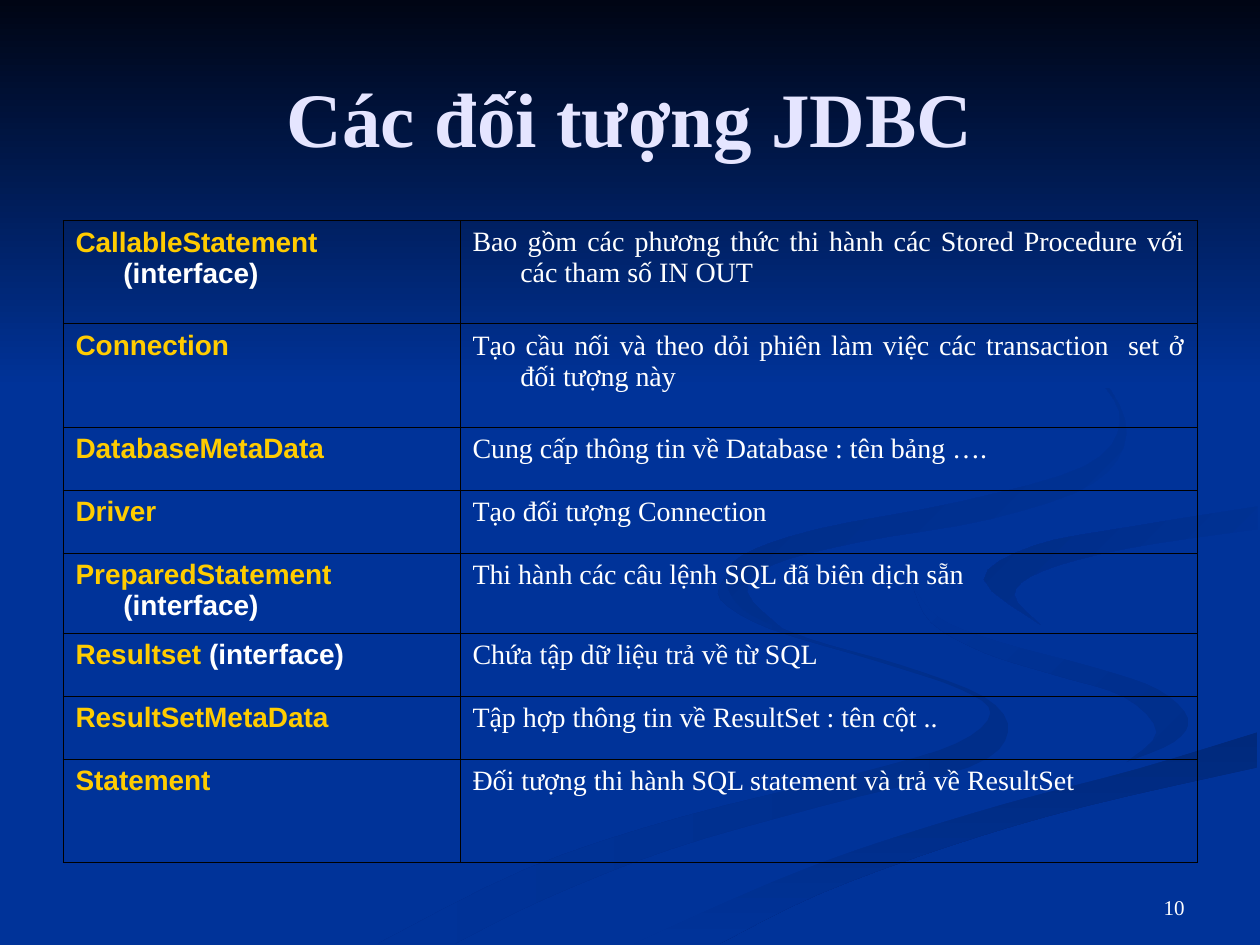
from lxml.etree import SubElement
from pptx import Presentation
from pptx.dml.color import RGBColor
from pptx.enum.shapes import MSO_SHAPE
from pptx.enum.text import MSO_ANCHOR as ANCHOR, PP_ALIGN as ALIGN
from pptx.oxml.ns import qn
from pptx.util import Inches, Pt

COLORS = {
    "blue": "003399", "night": "000514", "title": "E5E5FF", "white": "FFFFFF",
    "gold": "FFCC00", "black": "000000", "fold": "002E8A", "bank": "00297C",
    "curl": "002C85", "crest": "002B81",
}
SERIF, SANS = "Times New Roman", "Arial"
SLIDE_W, SLIDE_H, MARGIN = 10, 7.5, 0.5
CONTENT_W = SLIDE_W - 2 * MARGIN
NAME_W, INDENT = 3.15, 0.38
TALL, MEDIUM, LOW = 0.82, 0.63, 0.5
CURVE_STEPS = 4

EDGES = {
    "stream left": [(5.75, 4.59), (5.72, 4.76), (6.11, 4.99), (6.97, 5.25), (7.62, 5.47),
                    (7.86, 5.66), (7.59, 5.9), (6.84, 6.13), (5.39, 6.49), (4.17, 6.9),
                    (3, 7.49)],
    "stream right": [(5.75, 4.59), (5.94, 4.85), (6.42, 5.07), (7.15, 5.28), (7.81, 5.53),
                     (8, 5.81), (7.69, 6.09), (6.51, 6.4), (5.32, 6.74), (4.31, 7.14),
                     (3.61, 7.49)],
    "fold top": [(7.24, 4.64), (7.45, 4.9), (7.92, 5.09), (8.7, 5.3), (9.19, 5.47),
                 (9.43, 5.7), (9.32, 5.89), (8.94, 6.05)],
    "fold bottom": [(7.24, 4.64), (7.39, 4.94), (7.81, 5.18), (8.38, 5.36), (8.92, 5.53),
                    (9.18, 5.81), (8.94, 6.05)],
    "bank top": [(9.98, 5.81), (9.03, 6.1), (7.97, 6.38), (6.96, 6.69), (6.3, 6.93),
                 (5.69, 7.19), (5.03, 7.49)],
    "bank bottom": [(9.98, 6.09), (8.61, 6.4), (7.52, 6.72), (6.49, 7.1), (5.71, 7.49)],
    "river entry": [(9.98, 3.87), (9.2, 4.01), (8.3, 4.15), (7.55, 4.32), (7.24, 4.64)],
    "river exit": [(8.94, 6.05), (8.13, 6.25), (7.04, 6.55), (5.73, 7.03), (4.77, 7.49)],
    "curl top": [(9.98, 4.02), (8.98, 4.18), (8.21, 4.33), (7.81, 4.6), (8.26, 4.96)],
    "curl bottom": [(9.98, 4.2), (8.96, 4.35), (8.28, 4.53), (8.05, 4.72), (8.26, 4.96)],
    "river bend": [(8.26, 4.96), (8.66, 5.09), (9.41, 5.27), (9.98, 5.38)],
    "crest outer": [(7.62, 2.33), (8.21, 2.61), (8.73, 2.99), (8.94, 3.44), (8.67, 3.84),
                    (7.86, 4.12), (6.83, 4.3), (6.14, 4.48), (5.93, 4.7), (6.22, 5)],
    "crest inner": [(7.62, 2.33), (8.26, 2.66), (8.7, 2.99), (8.89, 3.35), (8.61, 3.7),
                    (7.63, 3.98), (6.49, 4.2), (5.89, 4.41), (5.77, 4.62), (5.9, 4.84),
                    (6.22, 5)],
}

RIBBONS = [
    (["stream left"], ["stream right"], ("fold", "blue"), 180),
    (["fold top"], ["fold bottom"], ("fold", "blue"), 225),
    (["bank top"], ["bank bottom"], ("bank", "blue"), 90),
    (["river entry", "fold top", "river exit"], ["curl top", "river bend", "bank top"],
     ("blue",), 0),
    (["curl top"], ["curl bottom"], ("blue", "curl"), 225),
    (["crest outer"], ["crest inner"], ("blue", "crest"), 225),
]

KIND = "(interface)"
ROWS = [
    ("CallableStatement ", KIND, TALL,
     "Bao gồm các phương thức thi hành các Stored Procedure với các tham số IN OUT"),
    ("Connection", "", TALL,
     "Tạo cầu nối và theo dỏi phiên làm việc các transaction  set ở đối tượng này"),
    ("DatabaseMetaData", "", LOW, "Cung cấp thông tin về Database : tên bảng …."),
    ("Driver", "", LOW, "Tạo đối tượng Connection"),
    ("PreparedStatement ", KIND, MEDIUM, "Thi hành các câu lệnh SQL đã biên dịch sẵn"),
    ("Resultset ", KIND, LOW, "Chứa tập dữ liệu trả về từ SQL"),
    ("ResultSetMetaData", "", LOW, "Tập hợp thông tin về ResultSet : tên cột .."),
    ("Statement", "", TALL, "Đối tượng thi hành SQL statement và trả về ResultSet"),
]


def rgb(name):
    return RGBColor.from_string(COLORS[name])


def spline(a, b, c, d, t):
    return b + t / 2 * (c - a + t * (2 * a - 5 * b + 4 * c - d + t * (3 * (b - c) + d - a)))


def smooth(knots):
    padded = [knots[0], *knots, knots[-1]]
    curve = [tuple(spline(*axis, step / CURVE_STEPS) for axis in zip(*padded[i:i + 4]))
             for i in range(len(knots) - 1) for step in range(CURVE_STEPS)]
    return curve + [knots[-1]]


def join(names):
    return [point for name in names for point in smooth(EDGES[name])]


class Deck:
    """Holds the style and the current slide."""

    def __init__(self):
        self.prs = Presentation()
        self.prs.slide_width, self.prs.slide_height = Inches(SLIDE_W), Inches(SLIDE_H)
        self.s = self.prs.slides.add_slide(self.prs.slide_layouts[6])
        fill = self.s.background.fill
        fill.solid()
        fill.fore_color.rgb = rgb("blue")

    def paint(self, sp, colors, angle):
        sp.shadow.inherit = False
        sp.line.fill.background()
        if len(colors) == 1:
            sp.fill.solid()
            sp.fill.fore_color.rgb = rgb(colors[0])
            return
        sp.fill.gradient()
        sp.fill.gradient_angle = (360 - angle) % 360
        for stop, color in zip(sp.fill.gradient_stops, colors):
            stop.color.rgb = rgb(color)

    def ribbon(self, one_side, other_side, colors, angle):
        outline = join(one_side) + join(other_side)[::-1]
        points = [(Inches(x), Inches(y)) for x, y in outline]
        builder = self.s.shapes.build_freeform(*points[0])
        builder.add_line_segments(points[1:], close=True)
        self.paint(builder.convert_to_shape(), colors, angle)

    def band(self, x, y, w, h, colors, angle):
        sp = self.s.shapes.add_shape(
            MSO_SHAPE.RECTANGLE, Inches(x), Inches(y), Inches(w), Inches(h))
        self.paint(sp, colors, angle)

    def style(self, p, size, font, color, bold, align):
        p.alignment = align
        p.font.size, p.font.name, p.font.bold = Pt(size), font, bold
        p.font.color.rgb = rgb(color)

    def text(self, x, y, w, h, text, size, color, bold, align, anchor):
        tf = self.s.shapes.add_textbox(Inches(x), Inches(y), Inches(w), Inches(h)).text_frame
        tf.word_wrap, tf.vertical_anchor = True, anchor
        p = tf.paragraphs[0]
        p.text = text
        self.style(p, size, SERIF, color, bold, align)

    def cell(self, cell, runs, font, bold, align):
        p = cell.text_frame.paragraphs[0]
        for text, color in runs:
            r = p.add_run()
            r.text = text
            r.font.color.rgb = rgb(color)
        self.style(p, 16, font, runs[0][1], bold, align)
        pPr = p._p.get_or_add_pPr()
        pPr.set("marL", str(Inches(INDENT)))
        pPr.set("indent", str(-Inches(INDENT)))
        tcPr = cell._tc.get_or_add_tcPr()
        for side in "LRTB":
            ln = SubElement(tcPr, qn(f"a:ln{side}"), w=str(Pt(0.45)))
            solid = SubElement(ln, qn("a:solidFill"))
            SubElement(solid, qn("a:srgbClr"), val=COLORS["black"])
        cell.fill.background()

    def table(self, x, y, widths, rows):
        heights = [row[2] for row in rows]
        table = self.s.shapes.add_table(
            len(rows), len(widths), Inches(x), Inches(y),
            Inches(sum(widths)), Inches(sum(heights))).table
        table.first_row = table.horz_banding = False
        for column, width in zip(table.columns, widths):
            column.width = Inches(width)
        for i, (name, kind, height, description) in enumerate(rows):
            table.rows[i].height = Inches(height)
            runs = [(name, "gold")] + ([(kind, "white")] if kind else [])
            self.cell(table.cell(i, 0), runs, SANS, True, ALIGN.JUSTIFY if i else ALIGN.LEFT)
            self.cell(table.cell(i, 1), [(description, "white")], SERIF, False, ALIGN.JUSTIFY)


deck = Deck()
for ribbon in RIBBONS:
    deck.ribbon(*ribbon)
deck.band(0, 0, SLIDE_W, 3.08, ("night", "blue"), 90)
deck.text(MARGIN, 0.3, CONTENT_W, 1.25, "Các đối tượng JDBC", 44, "title", True,
          ALIGN.CENTER, ANCHOR.MIDDLE)
deck.table(MARGIN, 1.75, (NAME_W, CONTENT_W - NAME_W), ROWS)
deck.text(7.17, 6.83, 2.33, 0.52, "10", 12, "white", False, ALIGN.RIGHT, ANCHOR.BOTTOM)
deck.prs.save("out.pptx")
